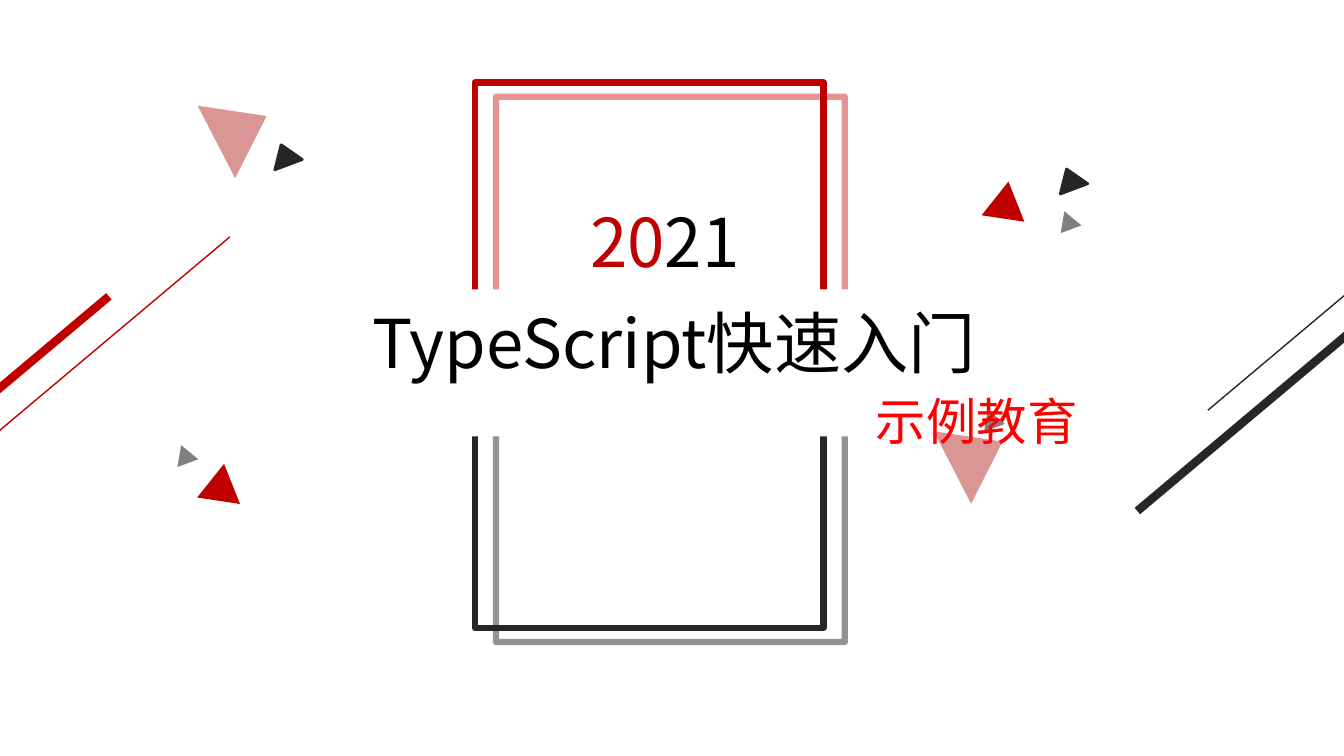
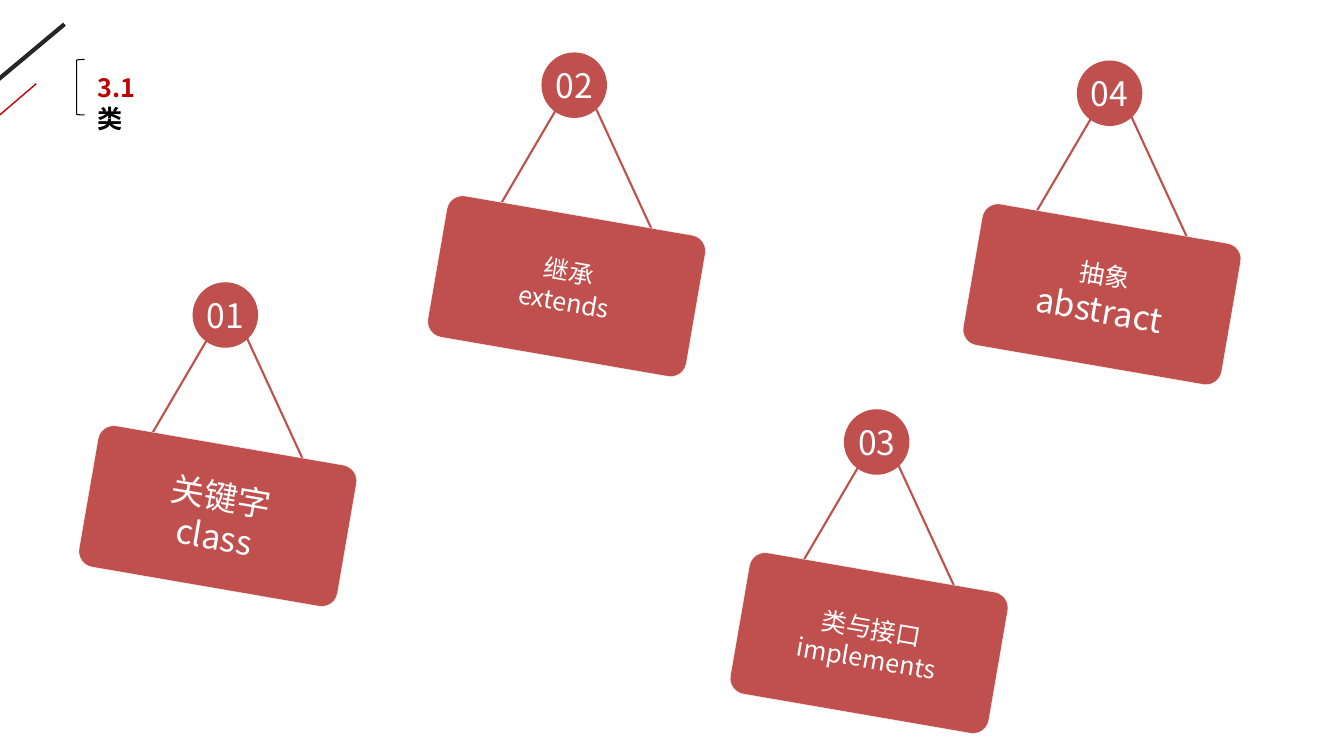
from lxml import etree
from pptx import Presentation
from pptx import util as u
from pptx.dml.color import RGBColor
from pptx.enum import shapes as kinds, text as txt
from pptx.oxml.ns import qn

PX = 9144
FONT = "Noto Sans CJK SC"
COLORS = {
    "red": "C00000", "dark": "262626", "grey": "808080", "pink": "D99694",
    "sign": "C0504D", "white": "FFFFFF", "black": "000000", "bright": "FF0000",
}
TRIANGLES = {
    "red": (43, 37, 8.5),
    "grey": (22, 19, 339.5),
    "pink": (81, 56, 62.7),
    "dark": (29, 21, 339.5),
}


def px(*lengths):
    return [u.Emu(length * PX) for length in lengths]


def rgb(name):
    return RGBColor.from_string(COLORS[name])


def paint(shape, fill=None, line=None, width=1, opacity=100):
    shape.shadow.inherit = False
    if fill:
        shape.fill.solid()
        shape.fill.fore_color.rgb = rgb(fill)
    else:
        shape.fill.background()
    if not line:
        shape.line.fill.background()
        return
    shape.line.color.rgb = rgb(line)
    shape.line.width = u.Pt(width)
    if opacity < 100:
        for color in shape.element.find(".//" + qn("a:ln")).iter(qn("a:srgbClr")):
            etree.SubElement(color, qn("a:alpha"), val=str(opacity * 1000))


def add_shape(page, kind, box, rotation=0, **look):
    shape = page.shapes.add_shape(kind, *px(*box))
    shape.rotation = rotation
    paint(shape, **look)
    return shape


def add_line(page, start, end, color, width):
    line = page.shapes.add_connector(kinds.MSO_CONNECTOR.STRAIGHT, *px(*start, *end))
    line.line.color.rgb = rgb(color)
    line.line.width = u.Pt(width)
    etree.SubElement(line.element.spPr, qn("a:effectLst"))


def write(shape, lines, align=txt.PP_ALIGN.LEFT, anchor=txt.MSO_ANCHOR.TOP, bold=False):
    frame = shape.text_frame
    frame.word_wrap = True
    frame.auto_size = txt.MSO_AUTO_SIZE.NONE
    frame.vertical_anchor = anchor
    for index, spans in enumerate(lines):
        para = frame.add_paragraph() if index else frame.paragraphs[0]
        para.alignment = align
        for words, size, color in spans:
            span = para.add_run()
            span.text = words
            span.font.size = u.Pt(size)
            span.font.name = FONT
            span.font.bold = bold
            span.font.color.rgb = rgb(color)
    for latin in list(shape.element.iter(qn("a:latin"))):
        latin.addnext(latin.makeelement(qn("a:ea"), {"typeface": FONT}))


def add_text(page, box, lines, **style):
    shape = page.shapes.add_textbox(*px(*box))
    write(shape, lines, **style)


def set_title(page, box, lines, inset=10, **style):
    title = page.shapes.title
    title.left, title.top, title.width, title.height = px(*box)
    title.text_frame.margin_left = u.Emu(inset * PX)
    write(title, lines, **style)
    title.element.getparent().append(title.element)


def add_triangle(page, x, y, color):
    width, height, rotation = TRIANGLES[color]
    line = color if color == "dark" else None
    add_shape(page, kinds.MSO_SHAPE.ISOSCELES_TRIANGLE, (x, y, width, height),
              rotation, fill=color, line=line, width=2)


def add_frame(page, x, y, color, opacity=100):
    add_shape(page, kinds.MSO_SHAPE.RECTANGLE, (x, y, 346, 216),
              line=color, width=4.5, opacity=opacity)


def add_sign(page, x, y, number, lines):
    points = [(x + dx, y + dy) for dx, dy in ((-43, 155), (29, 32), (45, 36), (122, 203))]
    builder = page.shapes.build_freeform(*points[0], scale=PX)
    builder.add_line_segments(points[1:], close=False)
    paint(builder.convert_to_shape(), line="sign", width=1.5)

    plate = add_shape(page, kinds.MSO_SHAPE.ROUNDED_RECTANGLE, (x - 105, y + 161, 260, 142),
                      9.8, fill="sign", line="white", width=0.25)
    plate.adjustments[0] = 0.11
    badge = add_shape(page, kinds.MSO_SHAPE.OVAL, (x, y, 65, 65), fill="sign")
    badge_lines = [(number, 24)]
    for shape, content in ((plate, lines), (badge, badge_lines)):
        frame = shape.text_frame
        frame.margin_left = frame.margin_right = frame.margin_top = frame.margin_bottom = 0
        write(shape, [[(words, size, "white")] for words, size in content],
              align=txt.PP_ALIGN.CENTER, anchor=txt.MSO_ANCHOR.MIDDLE)


def add_page(deck):
    return deck.slides.add_slide(deck.slide_layouts.get_by_name("Title Only"))


def build_cover(deck):
    page = add_page(deck)
    add_frame(page, 492, 421, "dark", 49)
    add_frame(page, 492, 96, "red", 41)
    for x, y, color in (
        (198, 460, "red"), (172, 441, "grey"), (929, 423, "pink"),
        (976, 180, "red"), (1048, 209, "grey"), (268, 143, "dark"),
        (199, 100, "pink"), (1047, 167, "dark"), (972, 406, "grey"),
    ):
        add_triangle(page, x, y, color)
    for x, y, color, width in (
        (108, 294, "red", 6), (228, 235, "red", 1),
        (1411, 269, "dark", 6), (1481, 169, "dark", 1),
    ):
        add_line(page, (x, y), (x - 283, y + 238), color, width)
    add_frame(page, 471, 82, "red")
    add_frame(page, 471, 407, "dark")
    add_shape(page, kinds.MSO_SHAPE.RECTANGLE, (438, 287, 407, 146), fill="white")
    set_title(page, (255, 294, 798, 91), [[("TypeScript快速入门", 48, "black")]], inset=114)
    add_text(page, (859, 382, 240, 71), [[("示例教育", 36, "bright")]])
    add_text(page, (548, 194, 223, 91), [[("20", 48, "red"), ("21", 48, "black")]],
             align=txt.PP_ALIGN.CENTER)


def build_classes(deck):
    page = add_page(deck)
    add_line(page, (64, 24), (-21, 95), "dark", 3)
    add_line(page, (36, 83), (-6, 119), "red", 1)
    set_title(page, (87, 67, 99, 70), [[("3.1", 18, "red")], [("类", 18, "black")]], bold=True)
    add_shape(page, kinds.MSO_SHAPE.LEFT_BRACKET, (76, 59, 8, 55), line="black", width=0.75)
    for x, y, number, lines in (
        (191, 280, "01", [("关键字", 24), ("class", 24)]),
        (537, 52, "02", [("继承", 18), ("extends", 18)]),
        (837, 406, "03", [("类与接口", 18), ("implements", 18)]),
        (1068, 60, "04", [("抽象", 18), ("abstract", 24)]),
    ):
        add_sign(page, x, y, number, lines)


def main():
    deck = Presentation()
    deck.slide_width, deck.slide_height = px(1333, 750)
    build_cover(deck)
    build_classes(deck)
    deck.save("out.pptx")


if __name__ == "__main__":
    main()
